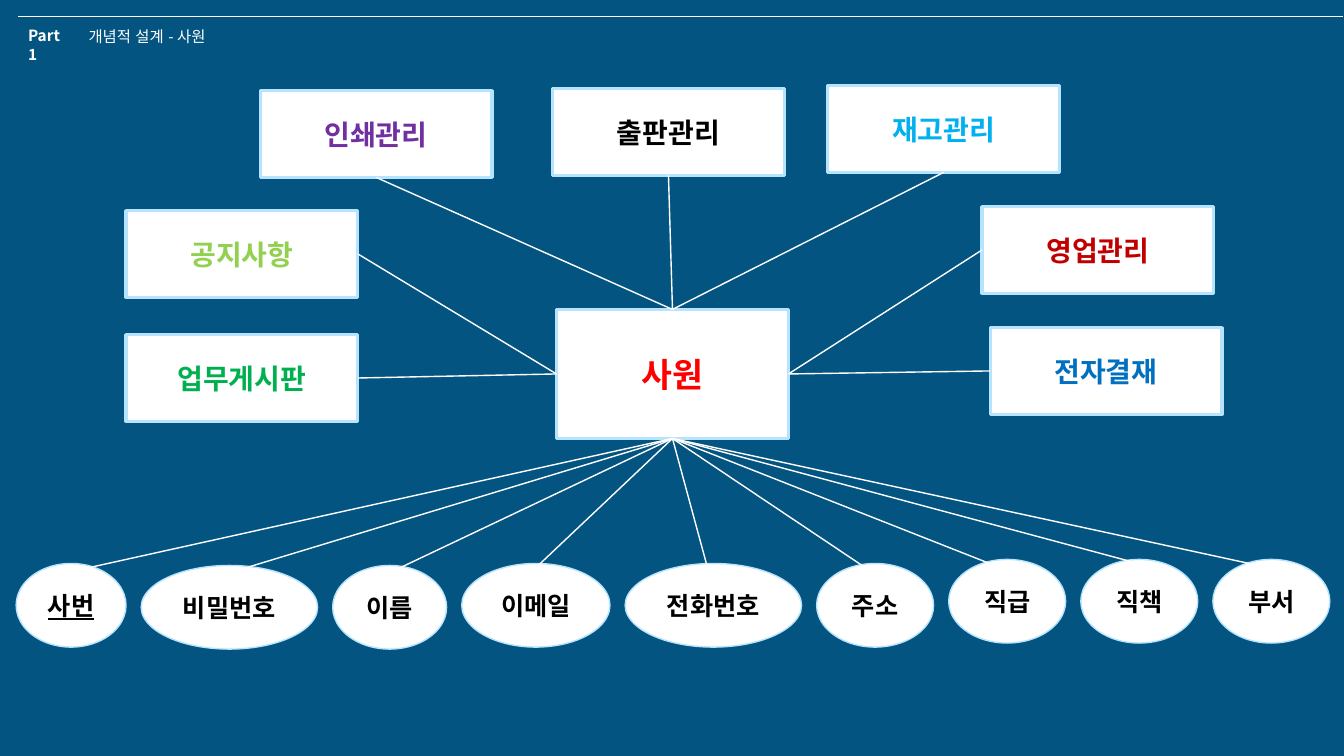
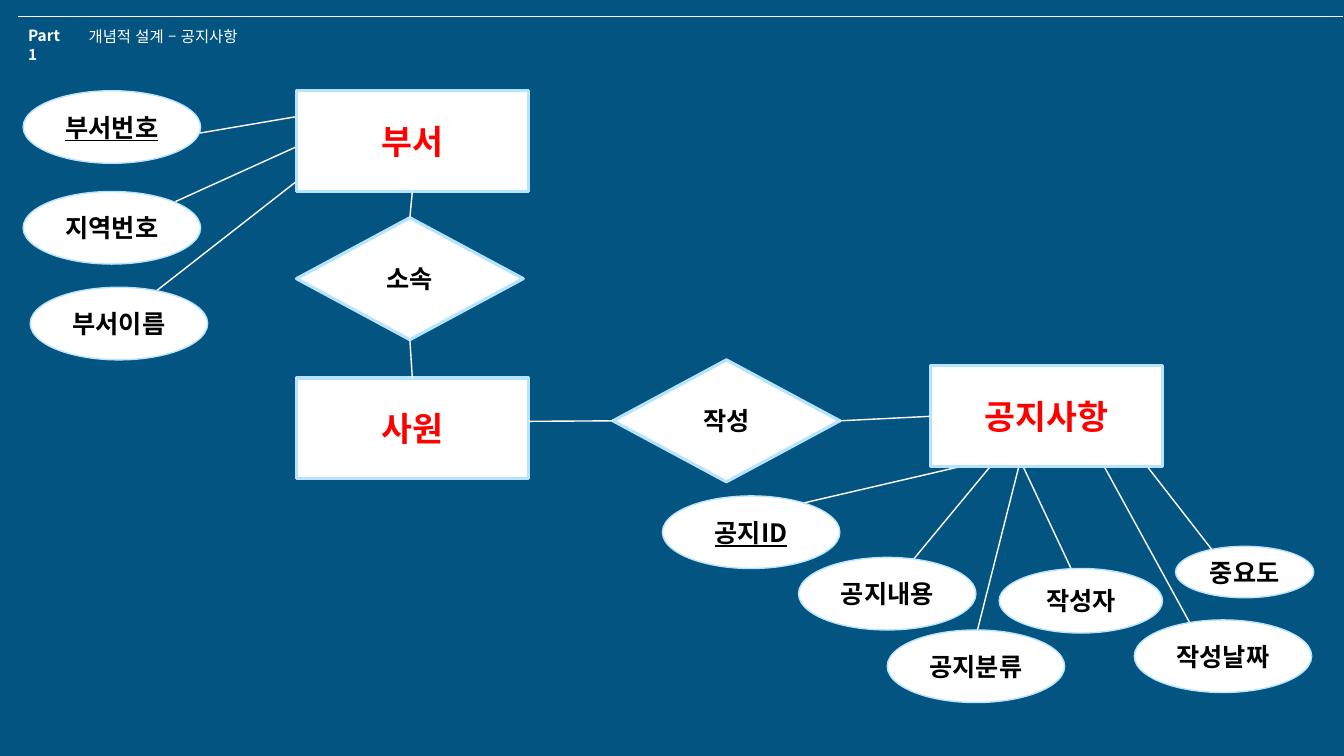
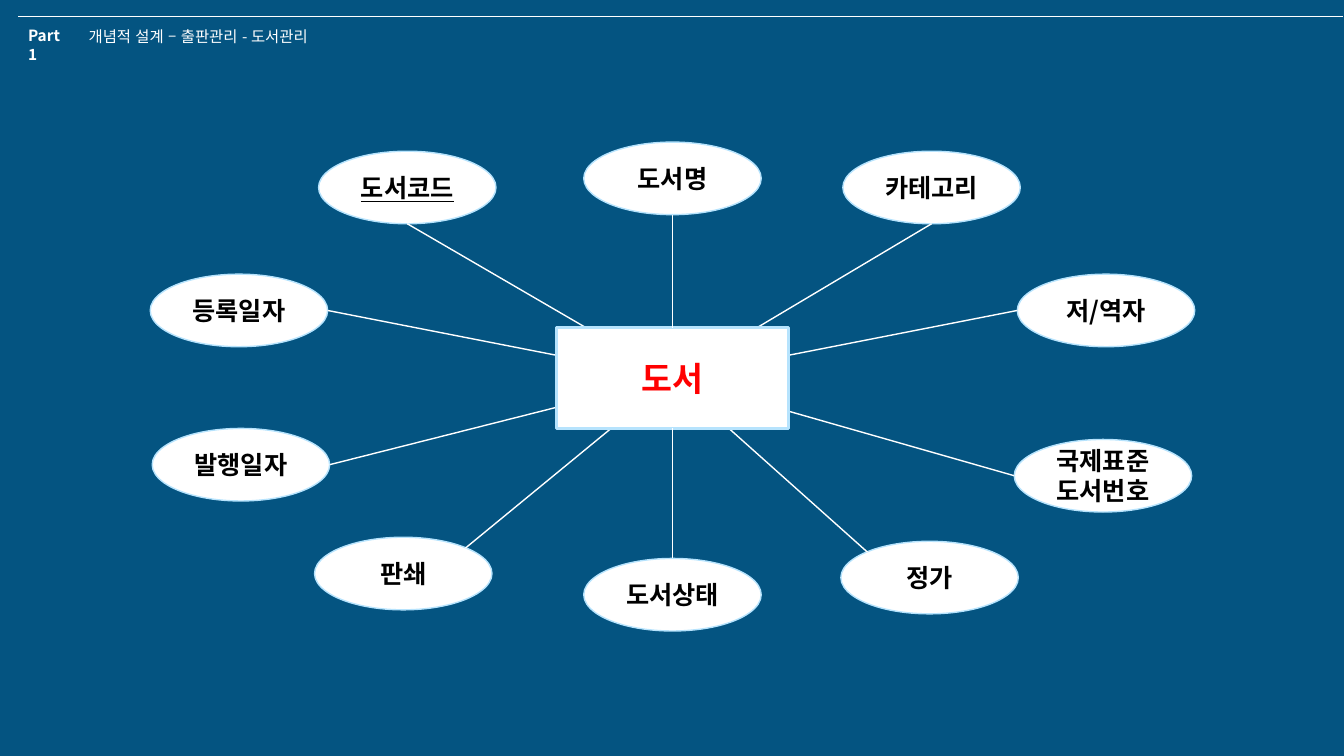
from dataclasses import dataclass
from lxml.etree import SubElement
from pptx import Presentation
from pptx.dml.color import RGBColor
from pptx.enum.lang import MSO_LANGUAGE_ID
from pptx.enum.shapes import MSO_CONNECTOR, MSO_SHAPE
from pptx.enum.text import MSO_ANCHOR, PP_ALIGN
from pptx.oxml.ns import qn
from pptx.util import Inches, Pt


@dataclass(frozen=True)
class Theme:
    back: str = "045481"
    paper: str = "FFFFFF"
    edge: str = "B6E3FD"
    ink: str = "000000"
    accent: str = "FF0000"
    font: str = "Noto Sans CJK KR"
    head: int = 11
    label: int = 18
    menu: int = 20
    title: int = 24
    thin: float = 0.5
    wire: float = 1
    thick: float = 2.25


@dataclass(frozen=True)
class Box:
    x: float
    y: float
    w: float
    h: float

    def at(self, dx, dy):
        return self.x + dx, self.y + dy

    def sub(self, dx, dy, w, h):
        return Box(*self.at(dx, dy), w, h)

    def inches(self):
        return [Inches(v) for v in (self.x, self.y, self.w, self.h)]


THEME = Theme()
TOP, LEFT, BOTTOM, RIGHT = range(4)
OVAL = (1.76, 0.72)
GAP = 0.15

MENUS = [
    ("전자결재", "0070C0", 4.3, 0.18, LEFT, RIGHT),
    ("업무게시판", "00B050", -4.27, 0.25, RIGHT, LEFT),
    ("인쇄관리", "7030A0", -2.94, -2.17, BOTTOM, TOP),
    ("출판관리", THEME.ink, -0.04, -2.19, BOTTOM, TOP),
    ("재고관리", "00B0F0", 2.69, -2.22, BOTTOM, TOP),
    ("영업관리", "C00000", 4.22, -1.02, LEFT, RIGHT),
    ("공지사항", "92D050", -4.27, -0.98, RIGHT, LEFT),
]
FIELDS = [
    ("사번", 0.04, 1.09, (0.64, 0.06)),
    ("비밀번호", 0.06, 1.75, (0.95, 0.05)),
    ("이름", 0.06, 1.13, (0.59, 0.06)),
    ("이메일", 0.04, 1.47, (0.61, 0.16)),
    ("전화번호", 0.04, 1.75, (0.86, 0.2)),
    ("주소", 0.04, 1.16, (0.57, 0.1)),
    ("직급", 0, 1.16, (0.48, 0.07)),
    ("직책", 0, 1.16, (0.53, 0.03)),
    ("부서", 0, 1.16, (0.59, 0.09)),
]
DEPT = [
    ("부서번호", (-2.71, 0), OVAL, (-1.9, 0.58), (0.16, 0.23)),
    ("지역번호", (-2.71, 1), OVAL, (-1.2, 1.1), (0.08, 0.52)),
    ("부서이름", (-2.64, 1.95), OVAL, (-1.42, 2.01), (0, 0.9)),
]
NOTICE = [
    ("공지ID", (-2.66, 1.29), OVAL, (-1.56, 1.43), (0.55, 0.94)),
    ("공지내용", (-1.31, 1.9), OVAL, (-0.27, 2.04), (0.64, 0.94)),
    ("작성자", (0.68, 2.01), (1.62, 0.64), (1.67, 2.6), (0.89, 0.94)),
    ("공지분류", (-0.43, 2.62), OVAL, (0.46, 2.64), (0.89, 0.94)),
    ("작성날짜", (2.02, 2.52), OVAL, (2.62, 2.64), (1.69, 0.94)),
    ("중요도", (2.43, 1.79), (1.37, 0.51), (2.99, 2.08), (2.15, 1)),
]
RAYS = [
    ("정가", 2.82, 2.12, 0.15, 0.15),
    ("발행일자", -4.01, 1, 1, 0.5),
    ("저/역자", 4.57, -0.53, 0, 0.5),
    ("국제표준도서번호", 4.54, 1.11, 0, 0.5),
    ("도서코드", -2.36, -1.75, 0.5, 1),
    ("등록일자", -4.03, -0.53, 1, 0.5),
    ("판쇄", -2.4, 2.08, 0.85, 0.15),
    ("카테고리", 2.84, -1.75, 0.5, 1),
]
POLES = [("도서명", -1.84, 1, TOP), ("도서상태", 2.29, 0, BOTTOM)]
KEYS = {"사번", "부서번호", "공지ID", "도서코드"}


def tint(code):
    return RGBColor.from_string(code)


def write(frame, text, size, color, bold=False, under=False):
    frame.word_wrap = True
    frame.text = text
    run = frame.paragraphs[0].runs[0]
    font = run.font
    font.name, font.size, font.bold = THEME.font, Pt(size), bold
    font.color.rgb = tint(color)
    font.language_id = MSO_LANGUAGE_ID.KOREAN
    if under:
        font.underline = True
    props = run._r.get_or_add_rPr()
    SubElement(props, qn("a:ea")).set("typeface", THEME.font)


def node(slide, box, text, kind, size, color, width):
    shape = slide.shapes.add_shape(kind, *box.inches())
    shape.shadow.inherit = False
    shape.fill.solid()
    shape.fill.fore_color.rgb = tint(THEME.paper)
    shape.line.color.rgb = tint(THEME.edge)
    shape.line.width = Pt(width)
    frame = shape.text_frame
    frame.vertical_anchor = MSO_ANCHOR.MIDDLE
    write(frame, text, size, color, True, text in KEYS)
    frame.paragraphs[0].alignment = PP_ALIGN.CENTER
    return shape


def entity(slide, box, text, size=THEME.title, color=THEME.accent):
    return node(slide, box, text, MSO_SHAPE.RECTANGLE, size, color, THEME.thick)


def field(slide, box, text):
    return node(slide, box, text, MSO_SHAPE.OVAL, THEME.label, THEME.ink, THEME.wire)


def bond(slide, box, text):
    kind = MSO_SHAPE.FLOWCHART_DECISION
    return node(slide, box, text, kind, THEME.label, THEME.ink, THEME.thick)


def wire(slide, start=(0, 0), end=(0, 0), tail=None, head=None, width=THEME.wire):
    ends = [Inches(v) for v in (*start, *end)]
    line = slide.shapes.add_connector(MSO_CONNECTOR.STRAIGHT, *ends)
    line.line.color.rgb = tint(THEME.paper)
    line.line.width = Pt(width)
    SubElement(line._element.spPr, qn("a:effectLst"))
    if tail:
        line.begin_connect(*tail)
    if head:
        line.end_connect(*head)


def header(slide, box, title, width):
    wire(slide, box.at(0, 0), box.at(box.w, 0), width=THEME.thin)
    parts = [("Part 1", 0, 0.05, 0.61, True), (title, 0.6, 0.06, width, False)]
    for text, dx, dy, span, bold in parts:
        area = box.sub(dx, dy, span, 0.29)
        frame = slide.shapes.add_textbox(*area.inches()).text_frame
        write(frame, text, THEME.head, THEME.paper, bold)


def page(deck, title, width):
    slide = deck.slides.add_slide(deck.slide_layouts[6])
    slide.background.fill.solid()
    slide.background.fill.fore_color.rgb = tint(THEME.back)
    header(slide, Box(0.18, 0.16, 13.14, 0.4), title, width)
    return slide


def menus(slide, box):
    hub = entity(slide, box, "사원")
    for text, color, dx, dy, near, far in MENUS:
        item = entity(slide, box.sub(dx, dy, 2.3, 0.86), text, THEME.menu, color)
        wire(slide, tail=(item, near), head=(hub, far))
    return hub


def fields(slide, box, hub):
    left = 0
    for text, dy, width, tip in FIELDS:
        area = box.sub(left, dy, width, box.h)
        field(slide, area, text)
        wire(slide, area.at(*tip), head=(hub, BOTTOM))
        left += width + GAP


def cluster(slide, box, name, items):
    for text, spot, size, start, end in items:
        wire(slide, box.at(*start), box.at(*end))
    for text, spot, size, start, end in items:
        field(slide, box.sub(*spot, *size), text)
    return entity(slide, box, name)


def chain(slide, box, dept, notice):
    staff = entity(slide, box, "사원")
    join = bond(slide, box.sub(0, -1.59, 2.25, 1.21), "소속")
    post = bond(slide, box.sub(3.14, -0.18, 2.25, 1.21), "작성")
    wire(slide, tail=(dept, BOTTOM), head=(join, TOP))
    wire(slide, tail=(join, BOTTOM), head=(staff, TOP))
    wire(slide, box.at(box.w, 0.43), head=(post, LEFT))
    wire(slide, tail=(post, RIGHT), head=(notice, LEFT))


def star(slide, box):
    core = box.at(box.w / 2, box.h / 2)
    for text, dx, dy, fx, fy in RAYS:
        area = box.sub(dx, dy, *OVAL)
        field(slide, area, text)
        wire(slide, area.at(fx * area.w, fy * area.h), core)
    hub = entity(slide, box, "도서")
    for text, dy, fy, site in POLES:
        area = box.sub((box.w - OVAL[0]) / 2, dy, *OVAL)
        field(slide, area, text)
        wire(slide, area.at(area.w / 2, fy * area.h), head=(hub, site))


def main():
    deck = Presentation()
    deck.slide_width, deck.slide_height = Inches(13.33), Inches(7.5)

    slide = page(deck, "개념적 설계 - 사원", 1.5)
    hub = menus(slide, Box(5.52, 3.07, 2.3, 1.28))
    fields(slide, Box(0.16, 5.55, 13.03, 0.83), hub)

    slide = page(deck, "개념적 설계 – 공지사항", 1.81)
    dept = cluster(slide, Box(2.94, 0.9, 2.3, 1), "부서", DEPT)
    notice = cluster(slide, Box(9.23, 3.63, 2.3, 1), "공지사항", NOTICE)
    chain(slide, Box(2.94, 3.75, 2.3, 1), dept, notice)

    slide = page(deck, "개념적 설계 – 출판관리 - 도서관리", 2.51)
    star(slide, Box(5.52, 3.25, 2.3, 1))

    deck.save("out.pptx")


if __name__ == "__main__":
    main()
